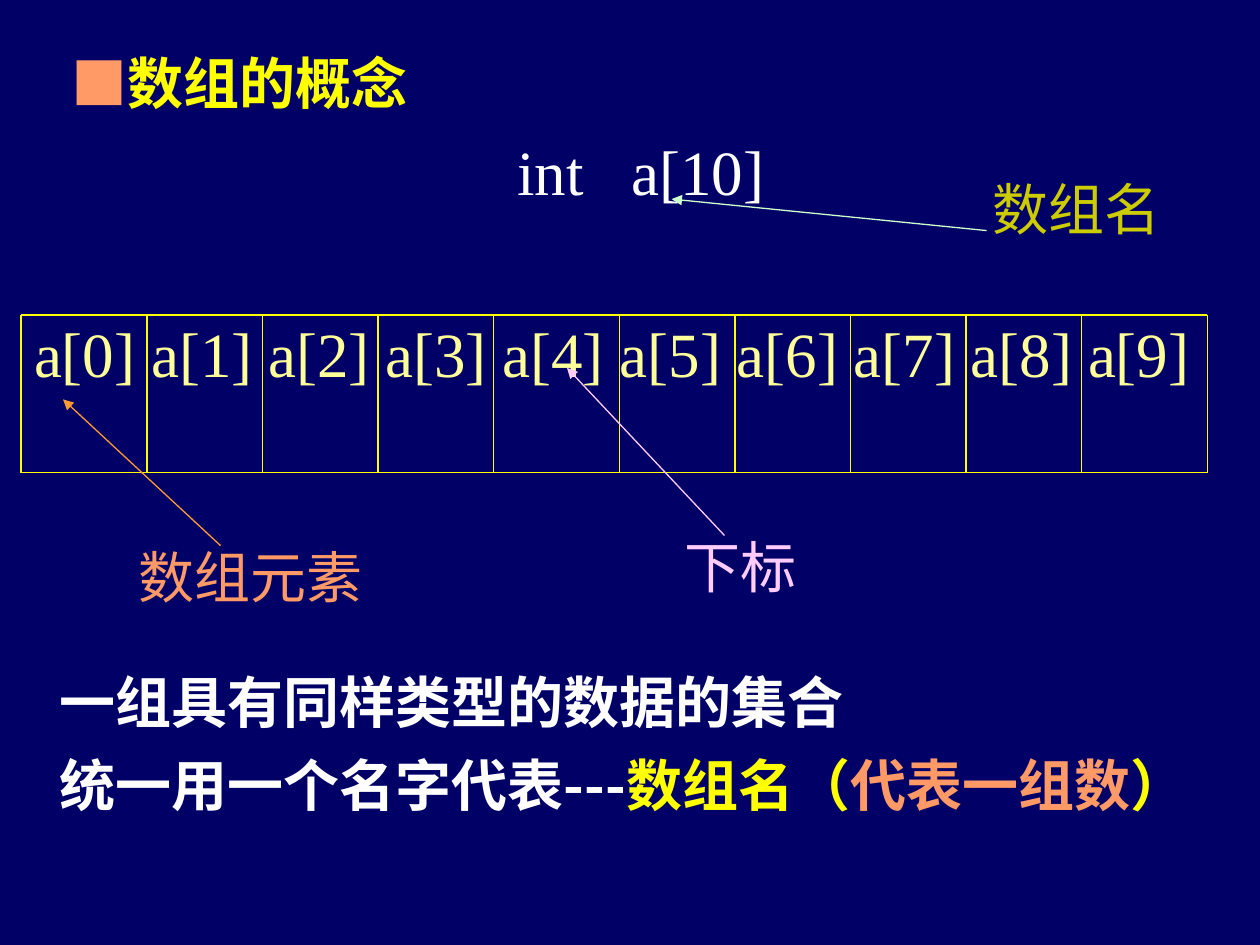
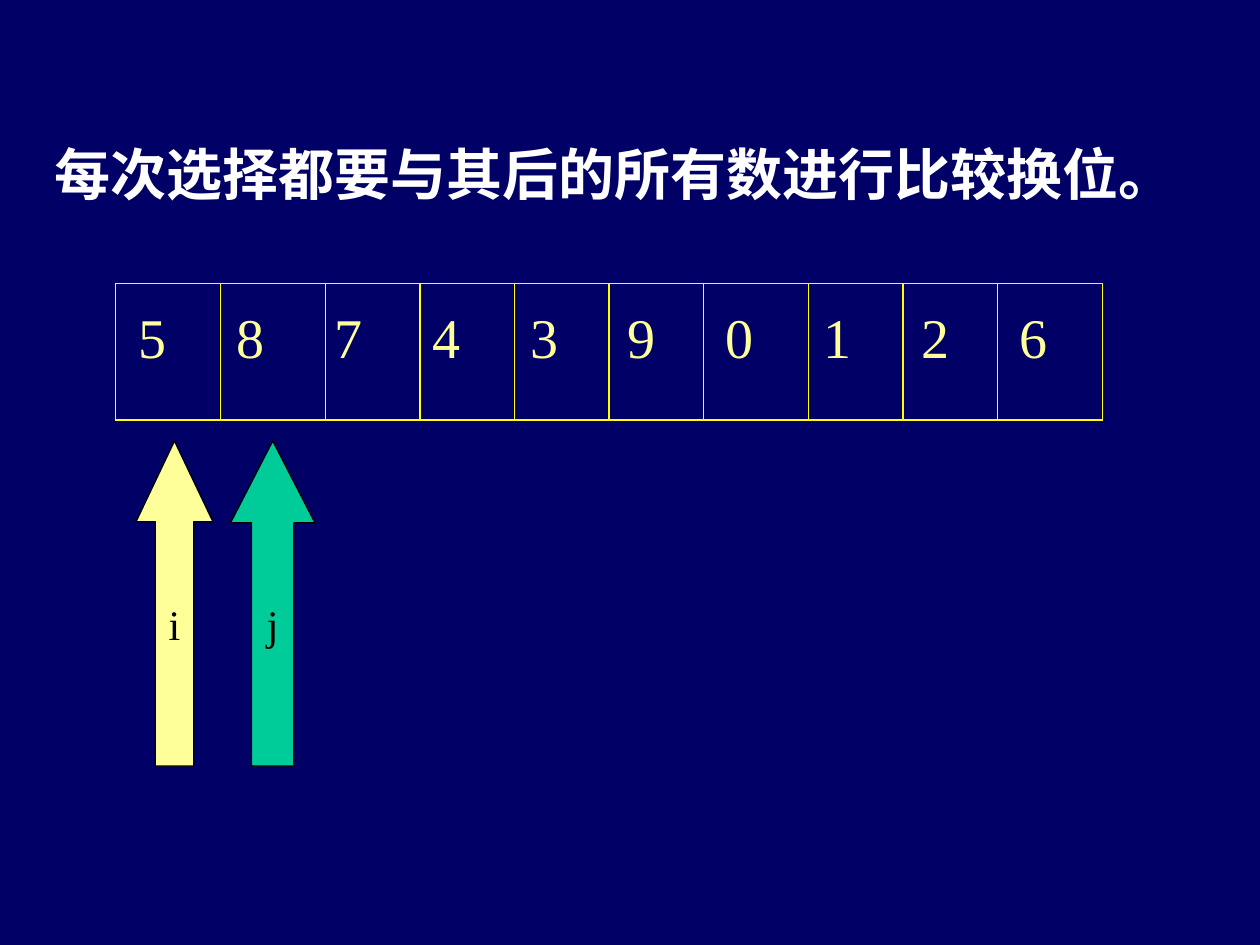
from lxml.etree import SubElement
from pptx import Presentation
from pptx.dml.color import RGBColor
from pptx.enum.shapes import MSO_CONNECTOR as Connector, MSO_SHAPE as Preset
from pptx.enum.text import MSO_ANCHOR as Anchor, MSO_AUTO_SIZE as AutoSize, PP_ALIGN as Align
from pptx.oxml.ns import qn
from pptx.util import Inches, Pt

NAVY = RGBColor(0x00, 0x00, 0x66)
WHITE = RGBColor(0xFF, 0xFF, 0xFF)
BLACK = RGBColor(0x00, 0x00, 0x00)
YELLOW = RGBColor(0xFF, 0xFF, 0x00)
CREAM = RGBColor(0xFF, 0xFF, 0x99)
SALMON = RGBColor(0xFF, 0x99, 0x66)
ORANGE = RGBColor(0xFF, 0x99, 0x33)
PINK = RGBColor(0xFF, 0xCC, 0xFF)
OLIVE = RGBColor(0xCC, 0xCC, 0x00)
MINT = RGBColor(0xCC, 0xFF, 0xCC)
GREEN = RGBColor(0x00, 0xCC, 0x99)
HAN = "Noto Sans CJK SC"
SERIF = "Times New Roman"

CONCEPT_TITLE = [("■", SALMON), ("数组的概念", YELLOW)]
DECLARATION = [("int", WHITE), (" ", WHITE, 18), ("a[10]", WHITE)]
ELEMENTS = [f"a[{index}]" for index in range(10)]
DEFINITIONS = [
    [("一组具有同样类型的数据的集合", WHITE)],
    [("统一用一个名字代表---", WHITE), ("数组名（", YELLOW),
     ("代表一组数", SALMON), ("）", YELLOW)],
]
LABELS = [
    ("数组元素", SALMON, (1, 4.25, 1.98, 0.64)),
    ("下标", PINK, (5.33, 4.17, 1.09, 0.64)),
    ("数组名", OLIVE, (7.67, 1.33, 1.75, 0.64)),
]
POINTERS = [
    ((1.75, 4.33), (0.5, 3.17), ORANGE),
    ((5.75, 4.25), (4.5, 2.92), PINK),
    ((7.83, 1.83), (5.33, 1.58), MINT),
]
SORT_TITLE = [("每次选择都要与其后的所有数进行比较换位。", WHITE)]
NUMBERS = [5, 8, 7, 4, 3, 9, 0, 1, 2, 6]
INDEXES = [("i", CREAM, 1.08, 0.61, 1.05), ("j", GREEN, 1.83, 0.67, 0.97)]

GRID = 1 / 12
ELEMENT_EDGES = [2, 14, 25, 36, 47, 59, 70, 81, 92, 103, 115]
NUMBER_EDGES = [11, 21, 31, 40, 49, 58, 67, 77, 86, 95, 105]


def write(paragraph, runs, size=32, font=HAN, bold=False, align=Align.LEFT,
          indent=0, before=0):
    properties = paragraph._p.get_or_add_pPr()
    properties.set("marL", str(Inches(indent)))
    properties.set("indent", "0")
    SubElement(properties, qn("a:buNone"))
    paragraph.alignment = align
    paragraph.space_before = Pt(before)
    paragraph.line_spacing = Pt(39) if font == HAN else 1.0
    for text, color, *tracking in runs:
        run = paragraph.add_run()
        run.text = text
        run.font.size = Pt(size)
        run.font.bold = bold
        run.font.name = font
        run.font.color.rgb = color
        letters = run._r.get_or_add_rPr()
        SubElement(letters, qn("a:ea"), typeface=HAN)
        for points in tracking:
            letters.set("spc", str(points * 100))


def place(holder, left, top, width, height, inset=0.05):
    holder.left, holder.top = Inches(left), Inches(top)
    holder.width, holder.height = Inches(width), Inches(height)
    frame = holder.text_frame
    frame.auto_size = AutoSize.NONE
    frame.vertical_anchor = Anchor.TOP
    frame.word_wrap = True
    frame.margin_top = Inches(inset)
    return frame


def draw_line(slide, start, end, color=YELLOW, arrow=False):
    line = slide.shapes.add_connector(
        Connector.STRAIGHT, *(Inches(value) for value in (*start, *end)))
    line.line.color.rgb = color
    line.line.width = Pt(0.75)
    if arrow:
        SubElement(line.line._get_or_add_ln(), qn("a:tailEnd"), type="triangle")
    SubElement(line._element.spPr, qn("a:effectLst"))


def draw_cells(slide, edges, top, bottom):
    columns = [edge * GRID for edge in edges]
    rows = [top * GRID, bottom * GRID]
    for y in rows:
        draw_line(slide, (columns[0], y), (columns[-1], y))
    for x in columns:
        draw_line(slide, (x, rows[0]), (x, rows[1]))


def add_slide(deck, title, title_box, body_box, inset):
    slide = deck.slides.add_slide(deck.slide_layouts[1])
    heading = place(slide.shapes.title, *title_box)
    write(heading.paragraphs[0], title, bold=True)
    return slide, place(slide.placeholders[1], *body_box, inset=inset)


def build_concept(deck):
    slide, body = add_slide(deck, CONCEPT_TITLE, (0.47, 0.33, 9, 0.7),
                            (0.17, 0.33, 9.83, 6.75), 0.72)
    outline = slide.placeholders[1].line
    outline.color.rgb = NAVY
    outline.width = Pt(0.75)
    write(body.paragraphs[0], DECLARATION, size=36, font=SERIF, align=Align.CENTER)
    write(body.add_paragraph(), [(" ".join(ELEMENTS), CREAM)],
          size=36, font=SERIF, before=61)
    for definition, gap in zip(DEFINITIONS, (158, 8)):
        write(body.add_paragraph(), definition, bold=True, indent=0.2, before=gap)
    draw_cells(slide, ELEMENT_EDGES, 30, 45)
    for text, color, box in LABELS:
        label = slide.shapes.add_textbox(*(Inches(value) for value in box))
        label.text_frame.word_wrap = False
        write(label.text_frame.paragraphs[0], [(text, color)], align=Align.CENTER)
    for start, end, color in POINTERS:
        draw_line(slide, start, end, color, arrow=True)


def build_sort(deck):
    slide, body = add_slide(deck, SORT_TITLE, (0.33, 1.05, 9.42, 0.7),
                            (0.33, 0.42, 9.42, 6.75), 1.98)
    write(body.paragraphs[0], [(" ".join(map(str, NUMBERS)), CREAM, 16)],
          font=SERIF, indent=0.67)
    draw_cells(slide, NUMBER_EDGES, 27, 40)
    for text, color, left, width, head in INDEXES:
        marker = slide.shapes.add_shape(
            Preset.UP_ARROW, Inches(left), Inches(3.5), Inches(width), Inches(2.58))
        marker.adjustments[0], marker.adjustments[1] = 0.5, head
        marker.shadow.inherit = False
        marker.fill.solid()
        marker.fill.fore_color.rgb = color
        marker.line.color.rgb = BLACK
        marker.line.width = Pt(0.75)
        marker.text_frame.word_wrap = False
        marker.text_frame.vertical_anchor = Anchor.MIDDLE
        write(marker.text_frame.paragraphs[0], [(text, BLACK)], size=24,
              font=SERIF, align=Align.CENTER)


def main():
    deck = Presentation()
    deck.slide_width, deck.slide_height = Inches(10), Inches(7.5)
    backdrop = deck.slide_master.background.fill
    backdrop.solid()
    backdrop.fore_color.rgb = NAVY
    build_concept(deck)
    build_sort(deck)
    deck.save("out.pptx")


if __name__ == "__main__":
    main()
